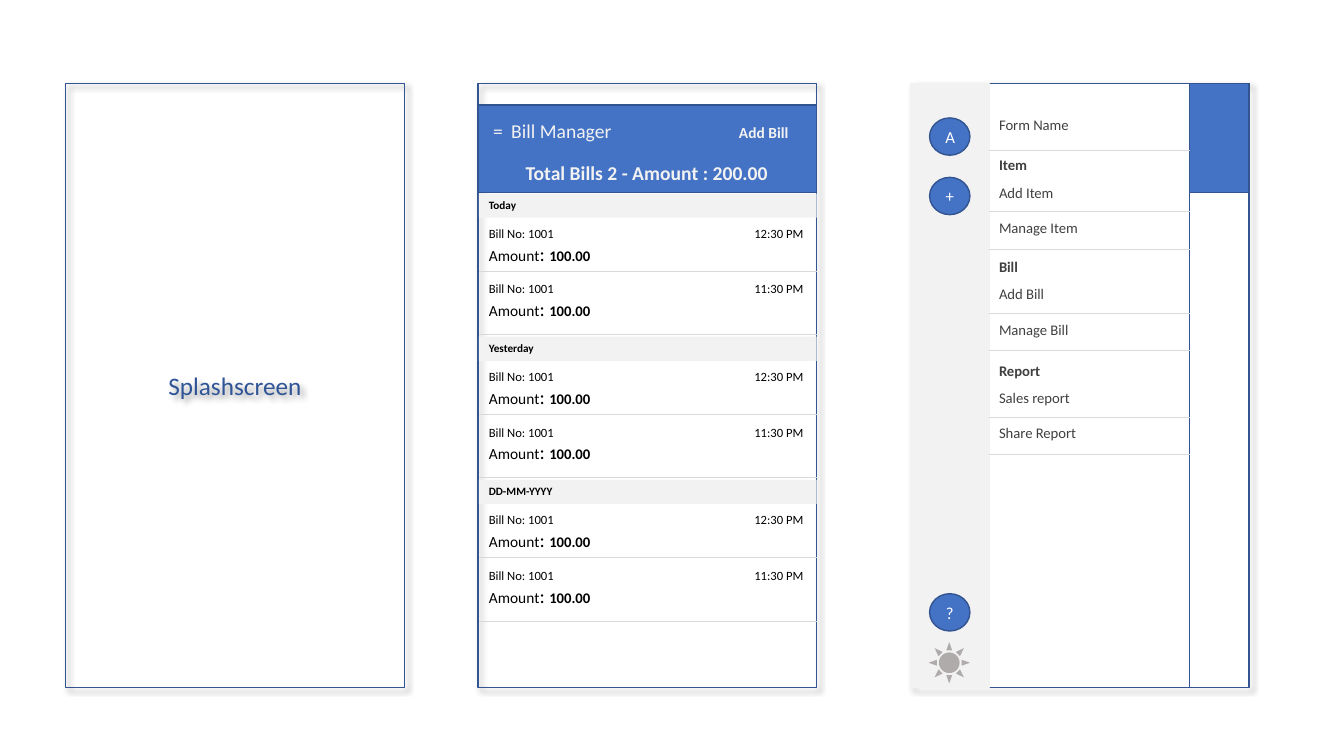
"""Build a slide with three mobile wireframes of a billing app."""
from dataclasses import dataclass

from lxml.etree import SubElement
from pptx import Presentation
from pptx.dml.color import RGBColor
from pptx.enum.shapes import MSO_CONNECTOR, MSO_SHAPE as Geometry
from pptx.enum.text import MSO_ANCHOR as Anchor, MSO_AUTO_SIZE as AutoSize, PP_ALIGN as Align
from pptx.oxml.ns import qn
from pptx.util import Inches, Pt

SPLASH = "Splashscreen"
APP_TITLE = "Bill Manager"
APP_ACTION = "Add Bill"
TOTALS = "Total Bills 2 - Amount : 200.00"
DAYS = ["Today", "Yesterday", "DD-MM-YYYY"]
BILLS = [("Bill No: 1001", "12:30 PM", "100.00"), ("Bill No: 1001", "11:30 PM", "100.00")]
FORM_NAME = "Form Name"
MENU = [
    (1.5, "Item", ["Add Item", "Manage Item"]),
    (2.51, "Bill", ["Add Bill", "Manage Bill"]),
    (3.54, "Report", ["Sales report", "Share Report"]),
]
BUTTONS = [("A", 1.17), ("+", 1.76), ("?", 5.89)]


@dataclass(frozen=True)
class Theme:
    font: str = "Calibri"
    blue: str = "4472C4"
    outline: str = "325491"
    splash: str = "2F5597"
    white: str = "FFFFFF"
    pale: str = "F2F2F2"
    rule: str = "D9D9D9"
    sun: str = "AFABAB"
    ink: str = "000000"
    menu: str = "404040"
    splash_size: float = 18
    title_size: float = 14
    button_size: float = 12
    action_size: float = 11
    menu_size: float = 10.5
    bill_size: float = 9
    day_size: float = 8


THEME = Theme()
PHONE_TOP, PHONE_WIDTH, PHONE_HEIGHT = 0.83, 3.36, 5.99
SPLASH_LEFT, LIST_LEFT, MENU_LEFT = 0.65, 4.74, 9.03
ROW_LEFT, ROW_WIDTH = 4.75, 3.35
DAY_TOP, DAY_PITCH, DAY_HEIGHT = 1.92, 1.42, 0.24
BILL_ROWS = [(0.23, 0.77), (0.78, 1.4)]
DRAWER_WIDTH, RAIL_WIDTH = 2.77, 0.78
ENTRY_LEFT, ENTRY_WIDTH, ENTRY_HEIGHT = 9.81, 1.98, 0.29
ENTRY_ROWS = [(0.27, 0.6), (0.62, 0.97)]


def color(value):
    return RGBColor.from_string(value)


def add_box(slide, geometry, left, top, width, height, fill=None, line=None):
    shape = slide.shapes.add_shape(geometry, Inches(left), Inches(top), Inches(width), Inches(height))
    shape.shadow.inherit = False
    if fill:
        shape.fill.solid()
        shape.fill.fore_color.rgb = color(fill)
    else:
        shape.fill.background()
    if line:
        shape.line.color.rgb = color(line)
        shape.line.width = Pt(1)
    else:
        shape.line.fill.background()
    return shape


def add_phone(slide, left):
    phone = add_box(slide, Geometry.RECTANGLE, left, PHONE_TOP, PHONE_WIDTH, PHONE_HEIGHT, line=THEME.outline)
    effects = phone.element.spPr.find(qn("a:effectLst"))
    shadow = SubElement(effects, qn("a:outerShdw"), blurRad=str(Pt(4)), dist=str(Pt(3)),
                        dir="2700000", algn="tl", rotWithShape="0")
    shade = SubElement(shadow, qn("a:srgbClr"), val=THEME.ink)
    SubElement(shade, qn("a:alpha"), val="40000")
    return phone


def add_rule(slide, left, right, top):
    rule = slide.shapes.add_connector(MSO_CONNECTOR.STRAIGHT, Inches(left), Inches(top), Inches(right), Inches(top))
    rule.line.color.rgb = color(THEME.rule)
    rule.line.width = Pt(0.5)
    SubElement(rule.element.spPr, qn("a:effectLst"))


def style(paragraph, size, tint, bold=False, align=Align.LEFT):
    paragraph.alignment = align
    font = paragraph.font
    font.name, font.size, font.bold = THEME.font, Pt(size), bold
    font.color.rgb = color(tint)


def set_text(shape, text, size, tint, bold=False, align=Align.CENTER):
    paragraph = shape.text_frame.paragraphs[0]
    paragraph.text = text
    style(paragraph, size, tint, bold, align)


def add_text_frame(slide, left, top, width, height):
    box = slide.shapes.add_textbox(Inches(left), Inches(top), Inches(width), Inches(height))
    box.text_frame.word_wrap = True
    box.text_frame.auto_size = AutoSize.SHAPE_TO_FIT_TEXT
    return box


def add_runs(paragraph, runs):
    for text, size, bold in runs:
        run = paragraph.add_run()
        run.text = text
        run.font.size, run.font.bold = Pt(size), bold


def add_tabs(paragraph, stops):
    tabs = SubElement(paragraph._p.get_or_add_pPr(), qn("a:tabLst"))
    for position, align in stops:
        SubElement(tabs, qn("a:tab"), pos=str(Inches(position)), algn=align)


def add_bill(slide, top, number, time, amount):
    frame = add_text_frame(slide, ROW_LEFT, top, ROW_WIDTH, 0.54).text_frame
    heading, total = frame.paragraphs[0], frame.add_paragraph()
    add_tabs(heading, [(3.12, "r")])
    for paragraph in (heading, total):
        style(paragraph, THEME.bill_size, THEME.ink)
    add_runs(heading, [(number, THEME.bill_size, False), ("\t", THEME.button_size, False),
                       (time, THEME.bill_size, False)])
    add_runs(total, [("Amount", THEME.action_size, False), (": ", THEME.title_size, False),
                     (amount, THEME.menu_size, True)])


def add_entry(slide, text, top, bold=False):
    box = add_text_frame(slide, ENTRY_LEFT, top, ENTRY_WIDTH, ENTRY_HEIGHT)
    set_text(box, text, THEME.menu_size, THEME.menu, bold, Align.LEFT)


def draw_bill_list(slide):
    add_phone(slide, LIST_LEFT)
    add_box(slide, Geometry.RECTANGLE, LIST_LEFT, 1.04, PHONE_WIDTH, 0.87, THEME.blue, THEME.outline)
    for index, day in enumerate(DAYS):
        top = DAY_TOP + index * DAY_PITCH
        band = add_box(slide, Geometry.RECTANGLE, ROW_LEFT, top, ROW_WIDTH, DAY_HEIGHT, THEME.pale)
        band.text_frame.vertical_anchor = Anchor.TOP
        set_text(band, day, THEME.day_size, THEME.ink, True, Align.LEFT)
        for (text_offset, rule_offset), bill in zip(BILL_ROWS, BILLS):
            add_bill(slide, top + text_offset, *bill)
            add_rule(slide, ROW_LEFT, ROW_LEFT + ROW_WIDTH, top + rule_offset)
    title = add_text_frame(slide, ROW_LEFT, 1.13, ROW_WIDTH, 0.34).text_frame
    title.margin_left = Inches(0.14)
    paragraph = title.paragraphs[0]
    add_tabs(paragraph, [(0.18, "l"), (2.93, "r")])
    style(paragraph, THEME.title_size, THEME.pale)
    add_runs(paragraph, [(f"=\t{APP_TITLE}\t", THEME.title_size, False), (APP_ACTION, THEME.action_size, True)])
    totals = add_text_frame(slide, LIST_LEFT, 1.55, ROW_WIDTH, 0.34)
    set_text(totals, TOTALS, THEME.title_size, THEME.pale, True)


def draw_menu(slide):
    add_phone(slide, MENU_LEFT)
    panels = [
        (PHONE_WIDTH, 1.08, THEME.blue, THEME.outline),
        (DRAWER_WIDTH, PHONE_HEIGHT, THEME.white, THEME.outline),
        (RAIL_WIDTH, PHONE_HEIGHT, THEME.pale, THEME.pale),
    ]
    for width, height, fill, line in panels:
        add_box(slide, Geometry.RECTANGLE, MENU_LEFT, PHONE_TOP, width, height, fill, line)
    for label, top in BUTTONS:
        button = add_box(slide, Geometry.OVAL, 9.22, top, 0.4, 0.37, THEME.blue, THEME.outline)
        set_text(button, label, THEME.button_size, THEME.white)
    add_box(slide, Geometry.SUN, 9.21, 6.37, 0.41, 0.41, THEME.sun)
    drawer_right = MENU_LEFT + DRAWER_WIDTH
    add_entry(slide, FORM_NAME, 1.1)
    add_rule(slide, ENTRY_LEFT, drawer_right, 1.49)
    for top, heading, entries in MENU:
        add_entry(slide, heading, top, True)
        for (text_offset, rule_offset), entry in zip(ENTRY_ROWS, entries):
            add_entry(slide, entry, top + text_offset)
            add_rule(slide, ENTRY_LEFT, drawer_right, top + rule_offset)


def main():
    presentation = Presentation()
    presentation.slide_width, presentation.slide_height = Inches(13.33), Inches(7.5)
    slide = presentation.slides.add_slide(presentation.slide_layouts[6])
    set_text(add_phone(slide, SPLASH_LEFT), SPLASH, THEME.splash_size, THEME.splash)
    draw_bill_list(slide)
    draw_menu(slide)
    presentation.save("out.pptx")


if __name__ == "__main__":
    main()
